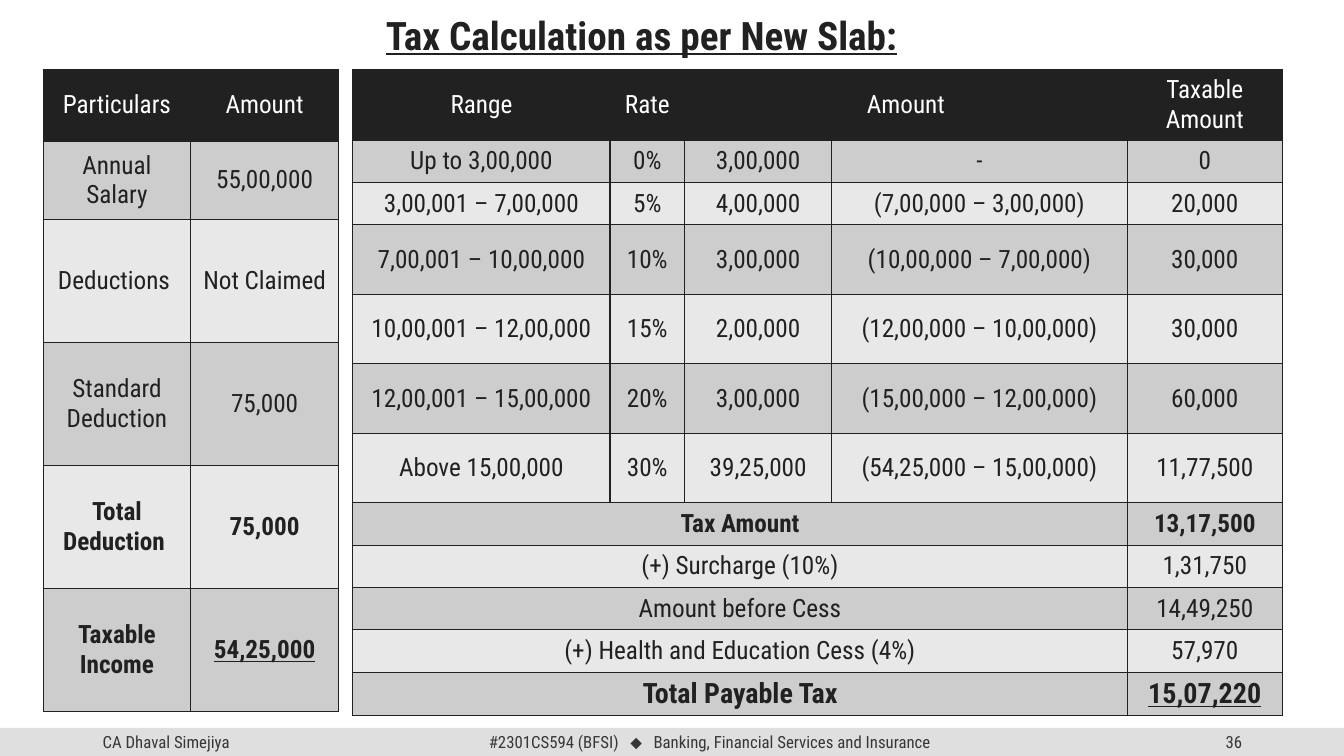
from pptx import Presentation
from pptx.dml.color import RGBColor
from pptx.enum.shapes import MSO_SHAPE
from pptx.enum.text import MSO_ANCHOR, MSO_AUTO_SIZE, PP_ALIGN
from pptx.oxml import parse_xml
from pptx.oxml.ns import nsdecls
from pptx.util import Inches, Pt

FONT = "Roboto Condensed"
DARK, WHITE, FOOTER_TEXT, FOOTER_FILL = "212121", "FFFFFF", "373737", "DFDFDF"
BANDS = ["CDCDCD", "E8E8E8"]

INCOME_ROWS = [
    ["Particulars", "Amount"],
    ["Annual Salary", "55,00,000"],
    ["Deductions ", "Not Claimed"],
    ["Standard Deduction", "75,000"],
    ["Total Deduction ", "75,000"],
    ["Taxable Income", "54,25,000"],
]
SLAB_ROWS = [
    ["Range", "Rate", "Amount", None, "Taxable Amount"],
    ["Up to 3,00,000", "0%", "3,00,000", "-", "0"],
    ["3,00,001 – 7,00,000", "5%", "4,00,000", "(7,00,000 – 3,00,000)", "20,000"],
    ["7,00,001 – 10,00,000", "10%", "3,00,000", "(10,00,000 – 7,00,000)", "30,000"],
    ["10,00,001 – 12,00,000", "15%", "2,00,000", "(12,00,000 – 10,00,000)", "30,000"],
    ["12,00,001 – 15,00,000", "20%", "3,00,000", "(15,00,000 – 12,00,000)", "60,000"],
    ["Above 15,00,000", "30%", "39,25,000", "(54,25,000 – 15,00,000)", "11,77,500"],
]
SUMMARY_ROWS = [
    ["Tax Amount", "13,17,500"],
    ["(+) Surcharge (10%)", "1,31,750"],
    ["Amount before Cess", "14,49,250"],
    ["(+) Health and Education Cess (4%)", "57,970"],
    ["Total Payable Tax", "15,07,220"],
]


def color(value):
    return RGBColor.from_string(value)


def style(span, size, value, bold=False, underline=False, name=FONT):
    span.font.name = name
    span.font.size = Pt(size)
    span.font.color.rgb = color(value)
    span.font.bold = bold
    span.font.underline = underline


def add_title(page, text):
    title = page.shapes.title
    title.left, title.top = Inches(0.61), Inches(0.06)
    title.width, title.height = Inches(11.5), Inches(0.63)
    frame = title.text_frame
    frame.text = text
    frame.auto_size = MSO_AUTO_SIZE.NONE
    frame.vertical_anchor = MSO_ANCHOR.MIDDLE
    para = frame.paragraphs[0]
    para.alignment = PP_ALIGN.CENTER
    para.line_spacing = 0.9
    style(para.runs[0], 28, DARK, bold=True, underline=True)


def add_footer_bar(page):
    bar = page.shapes.add_shape(MSO_SHAPE.ROUNDED_RECTANGLE, 0, Inches(7.22),
                                Inches(13.33), Inches(0.28))
    bar.adjustments[0] = 0
    bar.shadow.inherit = False
    bar.fill.solid()
    bar.fill.fore_color.rgb = color(FOOTER_FILL)
    bar.line.fill.background()


def add_footer_text(page, left, width, alignment, parts):
    box = page.shapes.add_textbox(Inches(left), Inches(7.22), Inches(width), Inches(0.28))
    frame = box.text_frame
    frame.word_wrap = True
    frame.vertical_anchor = MSO_ANCHOR.MIDDLE
    para = frame.paragraphs[0]
    para.alignment = alignment
    for part in parts:
        span = para.add_run()
        span.text = part
        style(span, 12, FOOTER_TEXT, name="Arial" if part == "⬥" else FONT)
        if part == " ":
            span.font._element.set("spc", "540")


def add_borders(cell):
    properties = cell._tc.get_or_add_tcPr()
    for side in ("lnL", "lnR", "lnT", "lnB"):
        properties.append(parse_xml(
            f'<a:{side} {nsdecls("a")} w="12700"><a:solidFill>'
            f'<a:srgbClr val="{DARK}"/></a:solidFill></a:{side}>'))


def format_cell(cell, text, fill, value, size, bold, underline):
    add_borders(cell)
    cell.fill.solid()
    cell.fill.fore_color.rgb = color(fill)
    cell.vertical_anchor = MSO_ANCHOR.MIDDLE
    if text is None:
        return
    cell.text_frame.text = text
    para = cell.text_frame.paragraphs[0]
    para.alignment = PP_ALIGN.CENTER
    style(para.runs[0], size, value, bold, underline)


def add_banded_table(page, left, widths, heights, rows, bold_rows, last_size=18):
    table = page.shapes.add_table(len(rows), len(widths), Inches(left), Inches(0.69),
                                  Inches(sum(widths)), Inches(sum(heights))).table
    for column, width in zip(table.columns, widths):
        column.width = Inches(width)
    for row, height in zip(table.rows, heights):
        row.height = Inches(height)
    last_row, last_column = len(rows) - 1, len(widths) - 1
    for i, texts in enumerate(rows):
        fill, value = (BANDS[(i - 1) % 2], DARK) if i else (DARK, WHITE)
        size = last_size if i == last_row else 18
        for j, text in enumerate(texts):
            is_total = i == last_row and j == last_column
            format_cell(table.cell(i, j), text, fill, value, size, i in bold_rows, is_total)
    return table


def add_slab_table(page):
    summary = [[label, None, None, None, amount] for label, amount in SUMMARY_ROWS]
    heights = [0.69] + [0.42] * 2 + [0.69] * 4 + [0.42] * 4 + [0.43]
    table = add_banded_table(page, 3.5, [2.55, 0.74, 1.46, 2.93, 1.54], heights,
                             SLAB_ROWS + summary, bold_rows=(7, 11), last_size=20)
    table.cell(0, 2).merge(table.cell(0, 3))
    for i in range(len(SLAB_ROWS), len(heights)):
        table.cell(i, 0).merge(table.cell(i, 3))


def main():
    deck = Presentation()
    deck.slide_width, deck.slide_height = Inches(13.33), Inches(7.5)
    page = deck.slides.add_slide(deck.slide_layouts[5])
    add_footer_bar(page)
    add_footer_text(page, 9.42, 3, PP_ALIGN.RIGHT, ["36"])
    add_footer_text(page, 4.42, 5.24, PP_ALIGN.CENTER,
                    ["#2301CS594 (BFSI)", " ", "⬥", " ",
                     "Banking, Financial Services and Insurance"])
    add_footer_text(page, 0.92, 3, PP_ALIGN.LEFT, ["CA Dhaval Simejiya"])
    add_title(page, "Tax Calculation as per New Slab:")
    add_banded_table(page, 0.43, [1.46, 1.47], [0.71, 0.78] + [1.22] * 4,
                     INCOME_ROWS, bold_rows=(4, 5))
    add_slab_table(page)
    deck.save("out.pptx")


if __name__ == "__main__":
    main()
